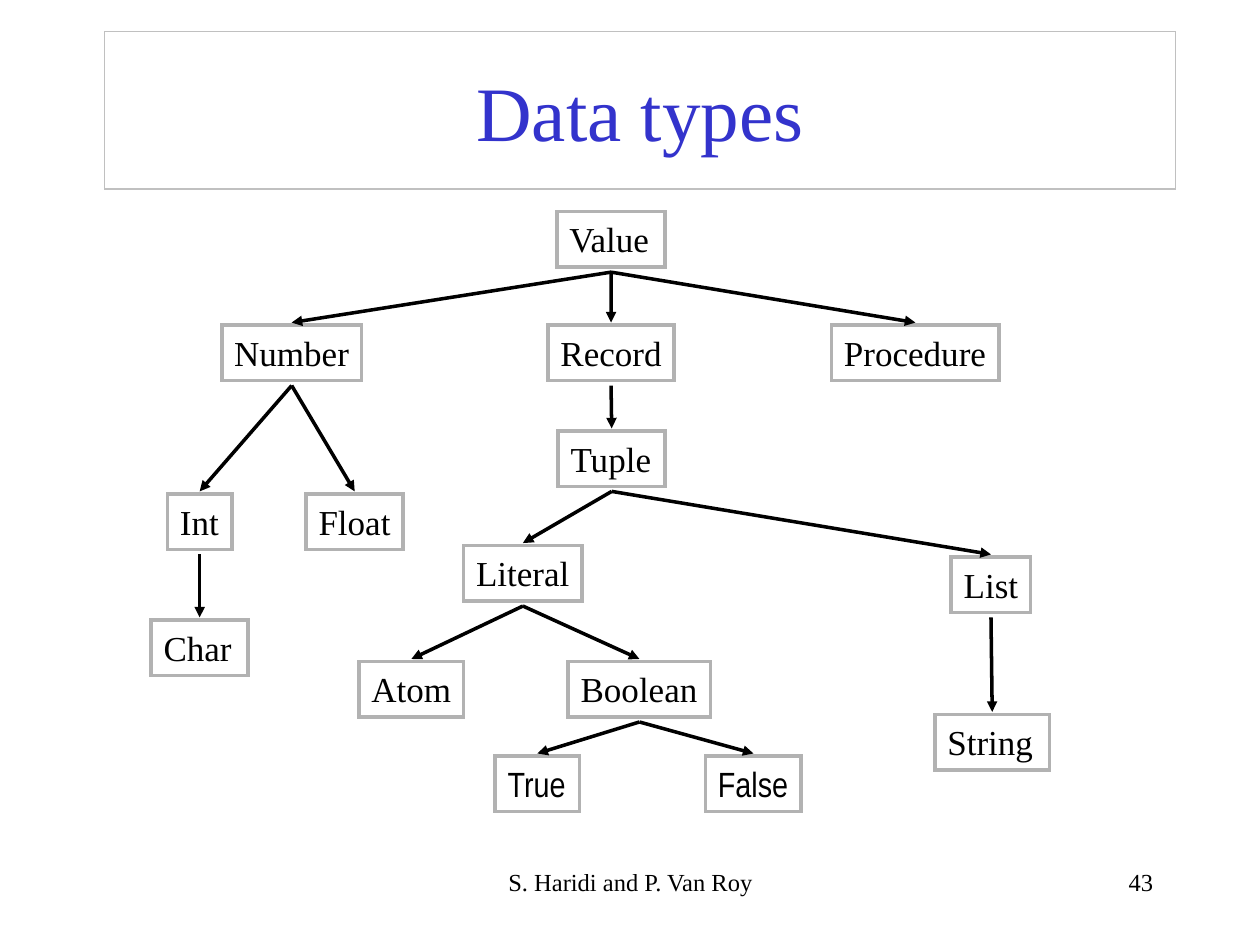
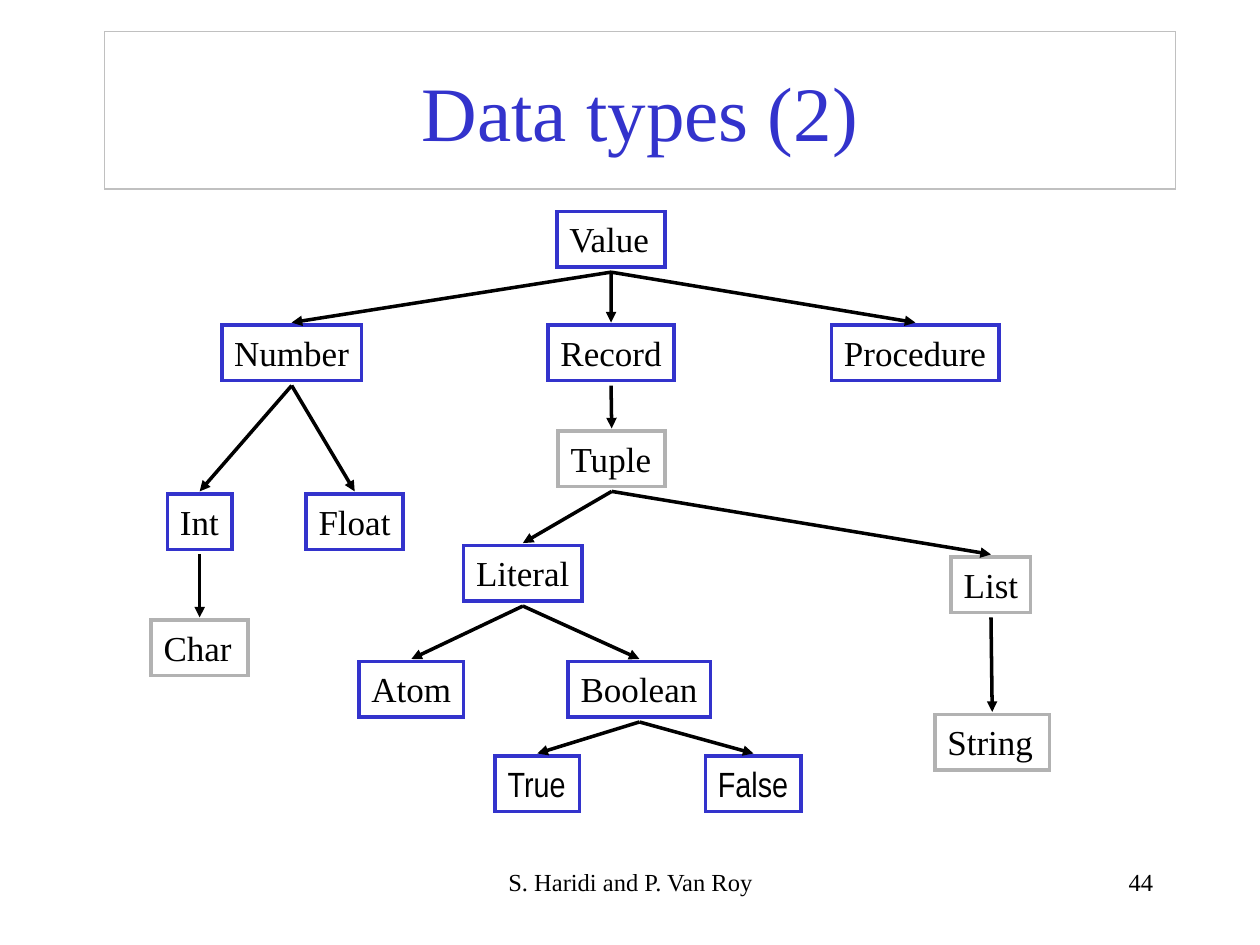
from dataclasses import dataclass
from typing import Any

from lxml.etree import SubElement
from pptx import Presentation
from pptx.dml.color import RGBColor
from pptx.enum.shapes import MSO_CONNECTOR, MSO_SHAPE
from pptx.enum.text import MSO_ANCHOR, MSO_AUTO_SIZE, PP_ALIGN
from pptx.oxml.ns import qn
from pptx.util import Inches, Pt

COLOURS = {
    "accent": "3333CC",
    "muted": "B2B2B2",
    "title_border": "C0C0C0",
    "text": "000000",
}
SERIF = "Times New Roman"
NARROW = "Arial Narrow"
NODE_HEIGHT = 0.44
GAP_BELOW_PARENT = 0.04
GAP_ABOVE_CHILD = 0.02
BOTTOM_SITE, TOP_SITE = 2, 0

BASE_FRAME = {
    "margin_left": Inches(0.1),
    "margin_right": Inches(0.1),
    "margin_top": Inches(0.05),
    "margin_bottom": Inches(0.05),
    "word_wrap": True,
    "auto_size": MSO_AUTO_SIZE.NONE,
    "vertical_anchor": MSO_ANCHOR.TOP,
}
TITLE_FRAME = {**BASE_FRAME, "vertical_anchor": MSO_ANCHOR.MIDDLE}
NODE_FRAME = {**BASE_FRAME, "margin_right": Inches(0.02)}


@dataclass(frozen=True)
class TypeNode:
    name: str
    left: float
    top: float
    width: float
    parent: str = ""
    core: bool = True
    font: str = SERIF


@dataclass(frozen=True)
class TreePage:
    title: str
    number: int
    core_colour: str


TYPE_TREE = [
    TypeNode("Value", 4.42, 1.68, 0.86),
    TypeNode("Number", 1.76, 2.58, 1.11, "Value"),
    TypeNode("Record", 4.35, 2.58, 1, "Value"),
    TypeNode("Procedure", 6.6, 2.58, 1.33, "Value"),
    TypeNode("Int", 1.33, 3.92, 0.51, "Number"),
    TypeNode("Float", 2.43, 3.92, 0.77, "Number"),
    TypeNode("Char", 1.2, 4.92, 0.77, "Int", core=False),
    TypeNode("Tuple", 4.43, 3.42, 0.85, "Record", core=False),
    TypeNode("Literal", 3.68, 4.33, 0.94, "Tuple"),
    TypeNode("List", 7.55, 4.42, 0.63, "Tuple", core=False),
    TypeNode("String", 7.42, 5.67, 0.91, "List", core=False),
    TypeNode("Atom", 2.85, 5.25, 0.83, "Literal"),
    TypeNode("Boolean", 4.51, 5.25, 1.13, "Literal"),
    TypeNode("True", 3.93, 6, 0.67, "Boolean", font=NARROW),
    TypeNode("False", 5.6, 6, 0.76, "Boolean", font=NARROW),
]
PAGES = [
    TreePage("Data types", 43, "muted"),
    TreePage("Data types (2)", 44, "accent"),
]


def set_attributes(target: Any, values: dict[str, Any]) -> None:
    for name, value in values.items():
        setattr(target, name, value)


def colour(name: str) -> RGBColor:
    return RGBColor.from_string(COLOURS[name])


def write_text(box: Any, text: str, frame: dict[str, Any], size: int,
               align: PP_ALIGN, font: str = SERIF, text_colour: str = "text") -> None:
    set_attributes(box.text_frame, frame)
    para = box.text_frame.paragraphs[0]
    para.alignment = align
    span = para.add_run()
    span.text = text
    set_attributes(span.font, {"name": font, "size": Pt(size)})
    span.font.color.rgb = colour(text_colour)


def add_outlined_box(page: Any, left: float, top: float, width: float, height: float,
                     border: str, border_width: float) -> Any:
    box = page.shapes.add_shape(MSO_SHAPE.RECTANGLE, Inches(left), Inches(top),
                                Inches(width), Inches(height))
    box.shadow.inherit = False
    box.fill.background()
    box.line.color.rgb = colour(border)
    box.line.width = Pt(border_width)
    SubElement(box.line._get_or_add_ln(), qn("a:miter"), lim="800000")
    return box


def add_title(page: Any, text: str) -> None:
    box = add_outlined_box(page, 0.83, 0.25, 8.5, 1.25, "title_border", 0.75)
    write_text(box, text, TITLE_FRAME, 44, PP_ALIGN.CENTER, text_colour="accent")


def add_footer(page: Any, text: str, left: float, width: float, align: PP_ALIGN) -> None:
    box = page.shapes.add_textbox(Inches(left), Inches(6.83), Inches(width), Inches(0.5))
    write_text(box, text, BASE_FRAME, 14, align)


def add_node(page: Any, node: TypeNode, border: str) -> Any:
    box = add_outlined_box(page, node.left, node.top, node.width, NODE_HEIGHT, border, 2)
    write_text(box, node.name, NODE_FRAME, 20, PP_ALIGN.LEFT, node.font)
    return box


def add_arrow(page: Any, parent: Any, child: Any) -> None:
    arrow = page.shapes.add_connector(MSO_CONNECTOR.STRAIGHT, 0, 0, 0, 0)
    arrow.begin_connect(parent, BOTTOM_SITE)
    arrow.end_connect(child, TOP_SITE)
    arrow.begin_y = parent.top + parent.height + Inches(GAP_BELOW_PARENT)
    arrow.end_y = child.top - Inches(GAP_ABOVE_CHILD)
    arrow.line.color.rgb = colour("text")
    arrow.line.width = Pt(2)
    SubElement(arrow.line._get_or_add_ln(), qn("a:tailEnd"), type="triangle")
    SubElement(arrow._element.spPr, qn("a:effectLst"))


def add_tree(page: Any, core_colour: str) -> None:
    boxes = {
        node.name: add_node(page, node, core_colour if node.core else "muted")
        for node in TYPE_TREE
    }
    for node in TYPE_TREE:
        if node.parent:
            add_arrow(page, boxes[node.parent], boxes[node.name])


def main() -> None:
    deck = Presentation()
    set_attributes(deck, {"slide_width": Inches(10), "slide_height": Inches(7.5)})
    for content in PAGES:
        page = deck.slides.add_slide(deck.slide_layouts[6])
        add_title(page, content.title)
        add_tree(page, content.core_colour)
        add_footer(page, "S. Haridi and P. Van Roy", 3.42, 3.17, PP_ALIGN.CENTER)
        add_footer(page, str(content.number), 7.17, 2.08, PP_ALIGN.RIGHT)
    deck.save("out.pptx")


if __name__ == "__main__":
    main()
